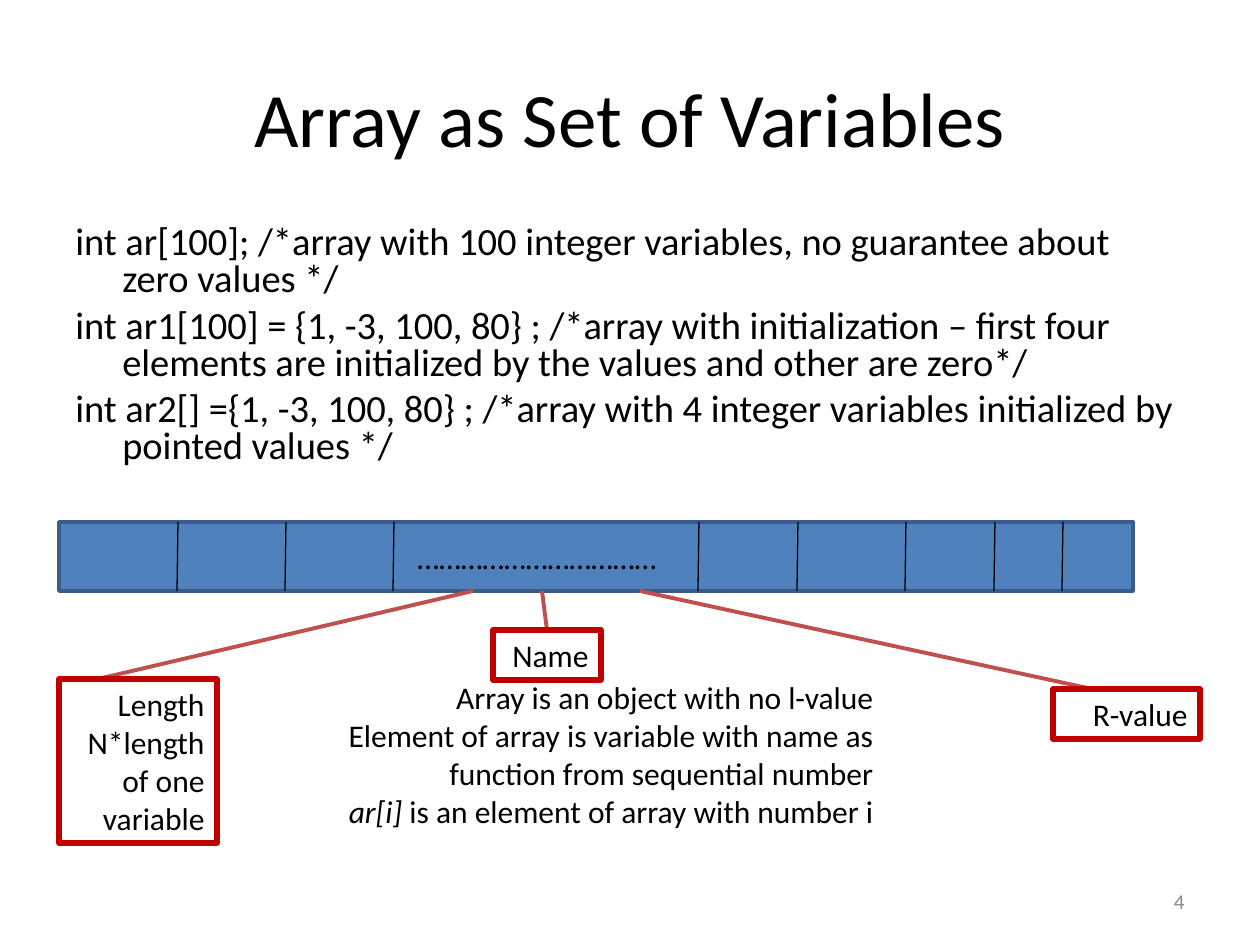
"""Build a slide that explains an array as a set of variables."""
from dataclasses import dataclass
from typing import Any

from lxml import etree
from pptx import Presentation
from pptx import util as u
from pptx.dml.color import RGBColor
from pptx.enum import shapes, text
from pptx.oxml.ns import qn

PX_PER_INCH = 126
COLORS = {
    "text": "000000",
    "number": "898989",
    "bar": "4F81BD",
    "bar_edge": "385D8A",
    "divider": "000000",
    "pointer": "C0504D",
    "label_edge": "C00000",
}
BAR_LEFT, BAR_TOP, BAR_WIDTH, BAR_HEIGHT = 59, 522, 1074, 69
BAR_BOTTOM = BAR_TOP + BAR_HEIGHT
DIVIDERS = (178, 286, 394, 699, 798, 906, 995, 1063)
HANGING_INDENT = 47


@dataclass(frozen=True)
class Box:
    left: int
    top: int
    width: int
    height: int


@dataclass(frozen=True)
class Run:
    words: str
    italic: bool = False


@dataclass(frozen=True)
class TextStyle:
    size: int
    color: str = "text"
    align: Any = text.PP_ALIGN.RIGHT
    anchor: Any = text.MSO_ANCHOR.TOP


@dataclass(frozen=True)
class Label:
    box: Box
    lines: tuple[str, ...]
    pointer_start: int
    pointer_end: int


TITLE_STYLE = TextStyle(44, align=text.PP_ALIGN.CENTER, anchor=text.MSO_ANCHOR.MIDDLE)
CODE_STYLE = TextStyle(22, align=text.PP_ALIGN.LEFT)
NOTE_STYLE = TextStyle(18)
NUMBER_STYLE = TextStyle(12, color="number", anchor=text.MSO_ANCHOR.MIDDLE)

DECLARATIONS = (
    "int ar[100]; /*array with 100 integer variables, no guarantee about zero values */",
    "int ar1[100] = {1, -3, 100, 80} ; /*array with initialization – first four "
    "elements are initialized by the values and other are zero*/",
    "int ar2[] ={1, -3, 100, 80} ; /*array with 4 integer variables initialized by "
    "pointed values */",
)
LABELS = (
    Label(Box(59, 679, 158, 164), ("Length", "N*length of one variable"), 473, 98),
    Label(Box(1053, 689, 147, 50), ("R-value",), 640, 1092),
    Label(Box(493, 630, 108, 50), ("Name",), 542, 547),
)
SUMMARY = (
    (Run("Array is an object with no l-value"),),
    (Run("Element of array is variable with name as function from sequential number"),),
    (Run("ar[i]", italic=True), Run(" is an element of array with number i")),
)


def px(length: int) -> u.Emu:
    """Convert pixels to EMU."""
    return u.Emu(round(length * 914400 / PX_PER_INCH))


def rgb(name: str) -> RGBColor:
    """Look up a named colour."""
    return RGBColor.from_string(COLORS[name])


def apply(target: Any, values: dict[str, Any]) -> None:
    """Set each format value on the target."""
    for name, value in values.items():
        setattr(target, name, value)


def edges(box: Box) -> tuple[u.Emu, ...]:
    """Give a box as left, top, width and height in EMU."""
    return px(box.left), px(box.top), px(box.width), px(box.height)


def plain(lines: tuple[str, ...]) -> tuple[tuple[Run, ...], ...]:
    """Turn each line into a paragraph with one run."""
    return tuple((Run(line),) for line in lines)


def write(shape: Any, paragraphs: tuple[tuple[Run, ...], ...], style: TextStyle) -> None:
    """Fill a shape with styled paragraphs."""
    frame = shape.text_frame
    apply(frame, {
        "word_wrap": True,
        "auto_size": text.MSO_AUTO_SIZE.NONE,
        "vertical_anchor": style.anchor,
    })
    for index, runs in enumerate(paragraphs):
        paragraph = frame.add_paragraph() if index else frame.paragraphs[0]
        paragraph.alignment = style.align
        for part in runs:
            run = paragraph.add_run()
            run.text = part.words
            apply(run.font, {"name": "Calibri", "size": u.Pt(style.size), "italic": part.italic})
            run.font.color.rgb = rgb(style.color)


def add_text(slide: Any, box: Box, paragraphs: tuple[tuple[Run, ...], ...],
             style: TextStyle) -> Any:
    """Add a text box."""
    shape = slide.shapes.add_textbox(*edges(box))
    write(shape, paragraphs, style)
    return shape


def add_rectangle(slide: Any, box: Box, edge: str, weight: float, fill: str = "") -> Any:
    """Add a rectangle, hollow unless a fill is named."""
    shape = slide.shapes.add_shape(shapes.MSO_SHAPE.RECTANGLE, *edges(box))
    shape.shadow.inherit = False
    if fill:
        shape.fill.solid()
        shape.fill.fore_color.rgb = rgb(fill)
    else:
        shape.fill.background()
    shape.line.color.rgb = rgb(edge)
    shape.line.width = u.Pt(weight)
    return shape


def add_line(slide: Any, start: tuple[int, int], end: tuple[int, int],
             color: str, weight: float) -> None:
    """Add a straight line without a shadow."""
    line = slide.shapes.add_connector(
        shapes.MSO_CONNECTOR.STRAIGHT, *(px(value) for value in start + end))
    line.line.color.rgb = rgb(color)
    line.line.width = u.Pt(weight)
    etree.SubElement(line._element.spPr, qn("a:effectLst"))


def add_declarations(slide: Any) -> None:
    """Add the array declarations with hanging indents."""
    shape = add_text(slide, Box(63, 220, 1134, 262), plain(DECLARATIONS), CODE_STYLE)
    for index, paragraph in enumerate(shape.text_frame.paragraphs):
        properties = paragraph._p.get_or_add_pPr()
        properties.set("marL", str(px(HANGING_INDENT)))
        properties.set("indent", str(px(-HANGING_INDENT)))
        apply(paragraph, {"line_spacing": 0.8, "space_before": u.Pt(5.5 if index else 0)})


def add_array(slide: Any) -> None:
    """Add the array bar with its cells."""
    bar = Box(BAR_LEFT, BAR_TOP, BAR_WIDTH, BAR_HEIGHT)
    add_rectangle(slide, bar, "bar_edge", 2, "bar")
    for x in DIVIDERS:
        add_line(slide, (x, BAR_TOP), (x - 1, BAR_BOTTOM), "divider", 0.75)
    add_text(slide, Box(403, 532, 266, 88), plain(("……………………………",)), NOTE_STYLE)


def add_label(slide: Any, label: Label) -> None:
    """Add a framed label and the line that ties it to the array."""
    add_line(slide, (label.pointer_start, BAR_BOTTOM), (label.pointer_end, label.box.top),
             "pointer", 2.25)
    write(add_rectangle(slide, label.box, "label_edge", 3), plain(label.lines), NOTE_STYLE)


def main() -> None:
    """Build and save the presentation."""
    presentation = Presentation()
    apply(presentation, {"slide_width": u.Inches(10), "slide_height": u.Inches(7.5)})
    slide = presentation.slides.add_slide(presentation.slide_layouts.get_by_name("Title Only"))
    title = slide.shapes.title
    apply(title, dict(zip(("left", "top", "width", "height"), edges(Box(63, 38, 1134, 158)))))
    write(title, plain(("Array as Set of Variables",)), TITLE_STYLE)
    add_declarations(slide)
    add_text(slide, Box(903, 876, 294, 50), plain(("4",)), NUMBER_STYLE)
    add_array(slide)
    for label in LABELS:
        add_label(slide, label)
    add_text(slide, Box(325, 672, 561, 164), SUMMARY, NOTE_STYLE)
    presentation.save("out.pptx")


if __name__ == "__main__":
    main()
